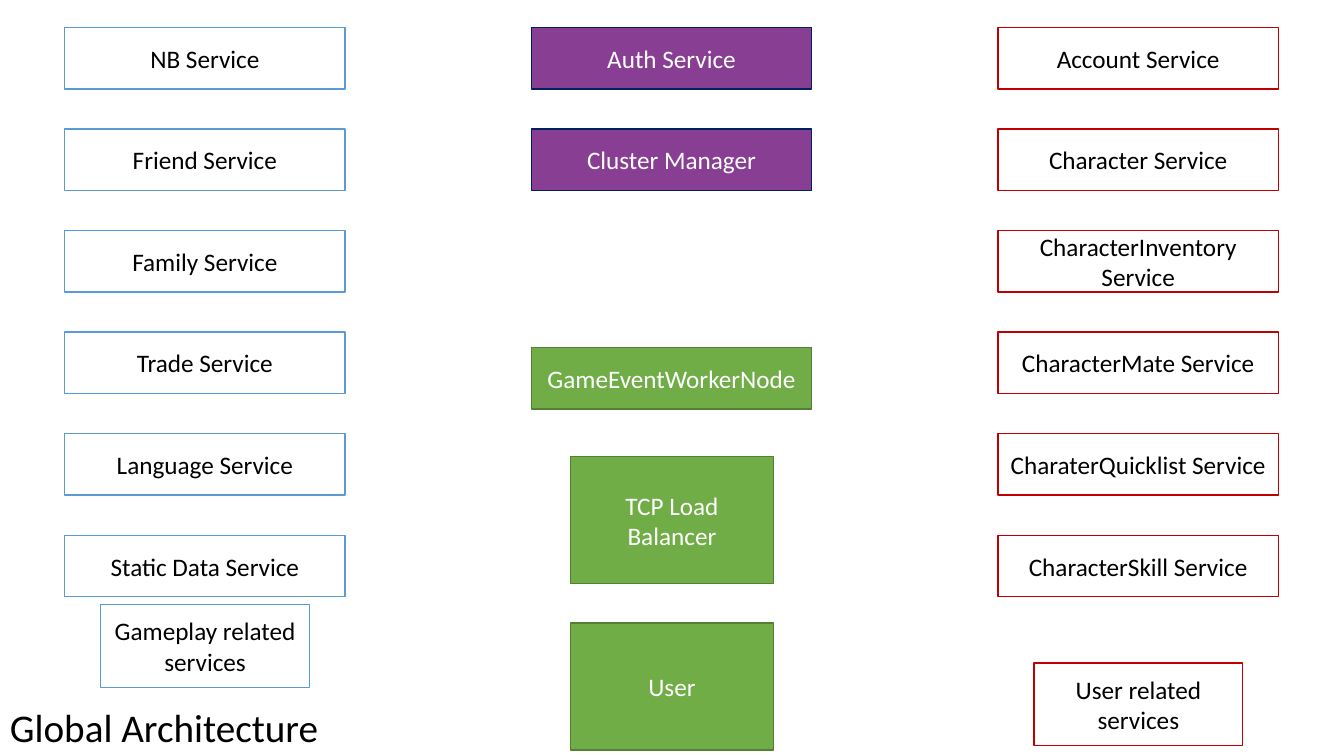
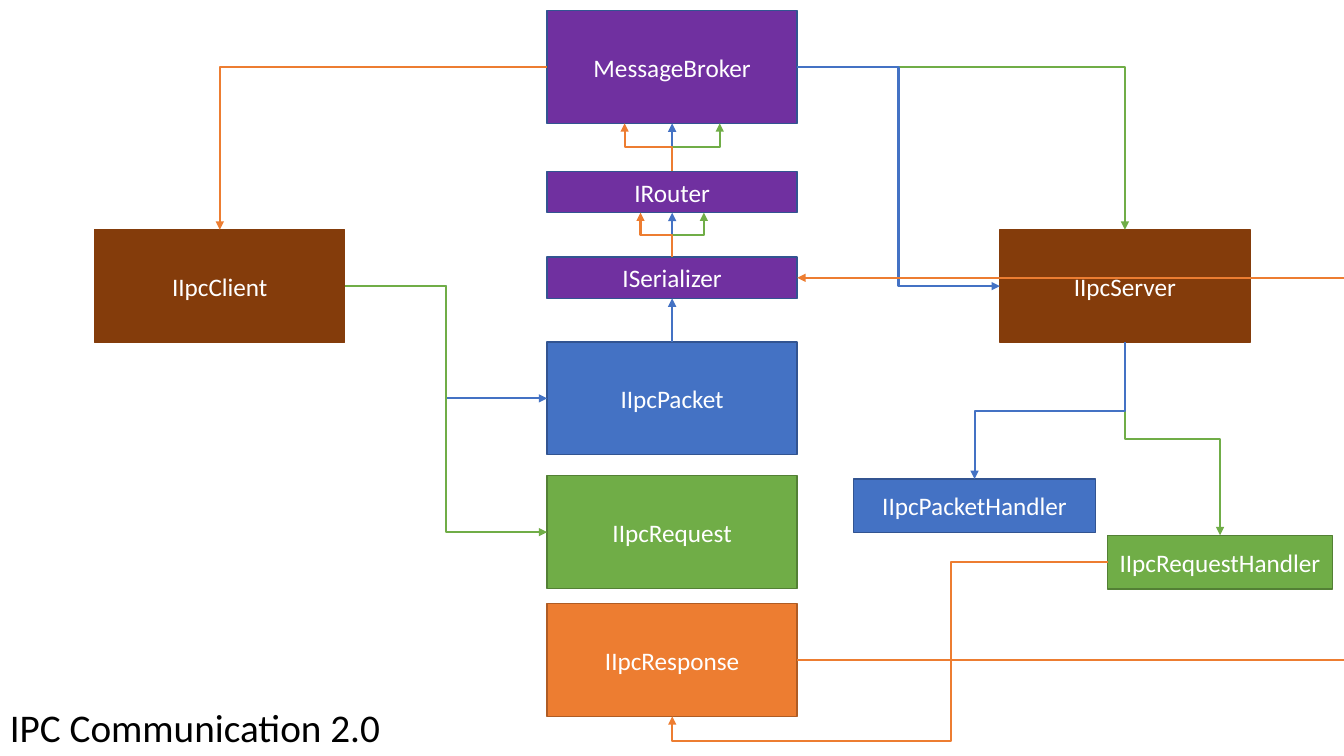
from pptx import Presentation
from pptx.dml.color import RGBColor
from pptx.enum.shapes import MSO_CONNECTOR as CONN, MSO_SHAPE as SHAPE
from pptx.enum.text import MSO_ANCHOR as ANCHOR, MSO_AUTO_SIZE as AUTO, PP_ALIGN as ALIGN
from pptx.oxml.ns import qn
from pptx.util import Cm, Pt
from lxml.etree import SubElement

WHITE, BLACK = RGBColor(255, 255, 255), RGBColor(0, 0, 0)
GREEN, DARK_GREEN = RGBColor(0x70, 0xAD, 0x47), RGBColor(0x53, 0x80, 0x35)
BLUE, DARK_BLUE = RGBColor(0x44, 0x72, 0xC4), RGBColor(0x32, 0x54, 0x91)
ORANGE, DARK_ORANGE = RGBColor(0xED, 0x7D, 0x31), RGBColor(0xAF, 0x5C, 0x24)
PLUM, NAVY = RGBColor(0x88, 0x3E, 0x92), RGBColor(0, 0x20, 0x60)
PURPLE, BROWN = RGBColor(0x70, 0x30, 0xA0), RGBColor(0x84, 0x3C, 0x0B)
SKY, RED = RGBColor(0x5B, 0x9B, 0xD5), RGBColor(0xC0, 0, 0)

WIDTH, HEIGHT = 33.87, 19.05
FONT = "Calibri"
TITLE_TOP, TITLE_H = 17.6, 1.45

STYLES = {
    "gameplay": (WHITE, SKY, BLACK),
    "user": (None, RED, BLACK),
    "core": (PLUM, NAVY, WHITE),
    "green": (GREEN, DARK_GREEN, WHITE),
    "blue": (BLUE, DARK_BLUE, WHITE),
    "orange": (ORANGE, DARK_ORANGE, WHITE),
    "purple": (PURPLE, DARK_BLUE, WHITE),
    "brown": (BROWN, BROWN, WHITE),
}

ARCHITECTURE_TITLE = ("Global Architecture", 8.36)
SERVICE_COLUMNS = [
    ("gameplay", ["NB Service", "Friend Service", "Family Service",
                  "Trade Service", "Language Service", "Static Data Service"]),
    ("core", ["Auth Service", "Cluster Manager"]),
    ("user", ["Account Service", "Character Service",
              "CharacterInventory Service", "CharacterMate Service",
              "CharaterQuicklist Service", "CharacterSkill Service"]),
]
SERVICE_LEFT, SERVICE_TOP = 1.63, 0.69
SERVICE_W, SERVICE_H = 7.07, 1.55
COLUMN_STEP, ROW_STEP = 11.76, 2.56

ARCHITECTURE_BOXES = [
    ("GameEventWorkerNode", "green", (13.39, 8.76, SERVICE_W, SERVICE_H)),
    ("TCP Load Balancer", "green", (14.38, 11.51, 5.11, 3.2)),
    ("User", "green", (14.38, 15.7, 5.11, 3.2)),
    ("Gameplay related\nservices", "gameplay", (2.54, 15.24, 5.26, 2.08)),
    ("User related services", "user", (26.06, 16.71, 5.26, 2.08)),
]

IPC_TITLE = ("IPC Communication 2.0", 9.96)
MID, BOX_W, TALL, FLAT, HANDLER_H = 13.79, 6.3, 2.84, 1.04, 1.35
IPC_BOXES = [
    ("IIpcClient", "brown", (2.39, 5.79, BOX_W, TALL)),
    ("IIpcServer", "brown", (25.2, 5.79, BOX_W, TALL)),
    ("MessageBroker", "purple", (MID, 0.27, BOX_W, TALL)),
    ("IRouter", "purple", (MID, 4.32, BOX_W, FLAT)),
    ("ISerializer", "purple", (MID, 6.48, BOX_W, FLAT)),
    ("IIpcPacket", "blue", (MID, 8.62, BOX_W, TALL)),
    ("IIpcRequest", "green", (MID, 11.99, BOX_W, TALL)),
    ("IIpcResponse", "orange", (MID, 15.21, BOX_W, TALL)),
    ("IIpcRequestHandler", "green", (27.91, 13.49, 5.67, HANDLER_H)),
    ("IIpcPacketHandler", "blue", (21.51, 12.07, 6.1, HANDLER_H)),
]

IPC_LINKS = [
    ("IIpcClient", "right", "IIpcPacket", "left", 0, BLUE, [0.5]),
    ("IIpcClient", "right", "IIpcRequest", "left", 0, GREEN, [0.5]),
    ("IIpcServer", "bottom", "IIpcRequestHandler", "top", 0, GREEN, [0.5]),
    ("IIpcRequestHandler", "left", "IIpcResponse", "bottom", 0, ORANGE, [0.36, 1.16]),
    ("IIpcPacket", "top", "ISerializer", "bottom", 0, BLUE, [0.5]),
    ("IRouter", "top", "MessageBroker", "bottom", 0, BLUE, [0.5]),
    ("MessageBroker", "right", "IIpcServer", "top", 0, GREEN, []),
    ("ISerializer", "top", "IRouter", "bottom", 0, BLUE, [0.5]),
    ("MessageBroker", "left", "IIpcClient", "top", 0, ORANGE, []),
    ("ISerializer", "top", "IRouter", "bottom", 0.8, GREEN, [0.49]),
    ("IRouter", "top", "MessageBroker", "bottom", 1.2, GREEN, [0.5]),
    ("ISerializer", "top", "IRouter", "bottom", -0.8, ORANGE, [0.49]),
    ("IRouter", "top", "MessageBroker", "bottom", -1.2, ORANGE, [0.5]),
    ("MessageBroker", "right", "IIpcServer", "left", 0, BLUE, [0.5]),
    ("IIpcServer", "bottom", "IIpcPacketHandler", "top", 0, BLUE, [0.5]),
]

SIDES = {"left": (0, 0.5), "right": (1, 0.5), "top": (0.5, 0), "bottom": (0.5, 1)}
TURNS = {
    (False, True, True): (0, ()),
    (False, False, True): (180, ("flipV",)),
    (True, True, True): (270, ("flipH",)),
    (True, False, True): (90, ()),
    (True, True, False): (90, ("flipH", "flipV")),
    (True, False, False): (270, ("flipV",)),
}


def set_all(obj, values):
    for name, value in values.items():
        setattr(obj, name, value)


def write(tf, text, size, color, align):
    for i, line in enumerate(text.split("\n")):
        p = tf.paragraphs[0] if i == 0 else tf.add_paragraph()
        p.alignment = align
        r = p.add_run()
        r.text = line
        set_all(r.font, {"size": Pt(size), "name": FONT})
        r.font.color.rgb = color


def add_title(s, text, width):
    tf = s.shapes.add_textbox(Cm(0), Cm(TITLE_TOP), Cm(width), Cm(TITLE_H)).text_frame
    set_all(tf, {"word_wrap": False, "auto_size": AUTO.SHAPE_TO_FIT_TEXT})
    write(tf, text, 28, BLACK, ALIGN.LEFT)


def add_box(s, text, style, box):
    fill, line, color = STYLES[style]
    sp = s.shapes.add_shape(SHAPE.RECTANGLE, *map(Cm, box))
    sp.shadow.inherit = False
    if fill is None:
        sp.fill.background()
    else:
        sp.fill.solid()
        sp.fill.fore_color.rgb = fill
    sp.line.color.rgb = line
    sp.line.width = Pt(1)
    set_all(sp.text_frame, {"word_wrap": True, "vertical_anchor": ANCHOR.MIDDLE})
    write(sp.text_frame, text, 18, color, ALIGN.CENTER)


def add_line(s, kind, start, end, color, arrow=True):
    c = s.shapes.add_connector(kind, *map(Cm, start + end))
    c.line.color.rgb = color
    c.line.width = Pt(1.5)
    props = c.element.spPr
    if arrow:
        SubElement(props.find(qn("a:ln")), qn("a:tailEnd"), type="triangle")
    SubElement(props, qn("a:effectLst"))
    return c


def add_elbow(s, start, end, vertical, color, bends):
    dx, dy = end[0] - start[0], end[1] - start[1]
    w, h = (abs(dy), abs(dx)) if vertical else (abs(dx), abs(dy))
    x, y = (start[0] + end[0] - w) / 2, (start[1] + end[1] - h) / 2
    c = add_line(s, CONN.ELBOW, (x, y), (x + w, y + h), color)
    turn, flips = TURNS[vertical, dx > 0, dy > 0]
    xfrm = c.element.spPr.find(qn("a:xfrm"))
    if turn:
        xfrm.set("rot", str(turn * 60000))
    for flip in flips:
        xfrm.set(flip, "1")
    geom = c.element.spPr.find(qn("a:prstGeom"))
    geom.set("prst", f"bentConnector{len(bends) + 2}")
    guides = geom.find(qn("a:avLst"))
    if guides is None:
        guides = SubElement(geom, qn("a:avLst"))
    for i, bend in enumerate(bends, 1):
        SubElement(guides, qn("a:gd"), name=f"adj{i}", fmla=f"val {round(bend * 100000)}")


def anchor(box, side, shift=0):
    x, y, w, h = box
    fx, fy = SIDES[side]
    return x + w * fx + shift, y + h * fy


prs = Presentation()
set_all(prs, {"slide_width": Cm(WIDTH), "slide_height": Cm(HEIGHT)})
blank = prs.slide_layouts[6]

s = prs.slides.add_slide(blank)
for col, (style, names) in enumerate(SERVICE_COLUMNS):
    for row, name in enumerate(names):
        add_box(s, name, style, (SERVICE_LEFT + col * COLUMN_STEP,
                                 SERVICE_TOP + row * ROW_STEP, SERVICE_W, SERVICE_H))
for box in ARCHITECTURE_BOXES:
    add_box(s, *box)
add_title(s, *ARCHITECTURE_TITLE)

s = prs.slides.add_slide(blank)
for box in IPC_BOXES:
    add_box(s, *box)
places = {name: box for name, style, box in IPC_BOXES}
for source, out, target, into, shift, color, bends in IPC_LINKS:
    start, end = anchor(places[source], out), anchor(places[target], into, shift)
    if start[0] == end[0]:
        add_line(s, CONN.STRAIGHT, start, end, color)
    else:
        add_elbow(s, start, end, out in ("top", "bottom"), color, bends)
response = anchor(places["IIpcResponse"], "right")
serializer = anchor(places["ISerializer"], "right")
add_line(s, CONN.STRAIGHT, response, (WIDTH, response[1]), ORANGE, arrow=False)
add_line(s, CONN.STRAIGHT, (WIDTH, serializer[1]), serializer, ORANGE)
add_title(s, *IPC_TITLE)

prs.save("out.pptx")
